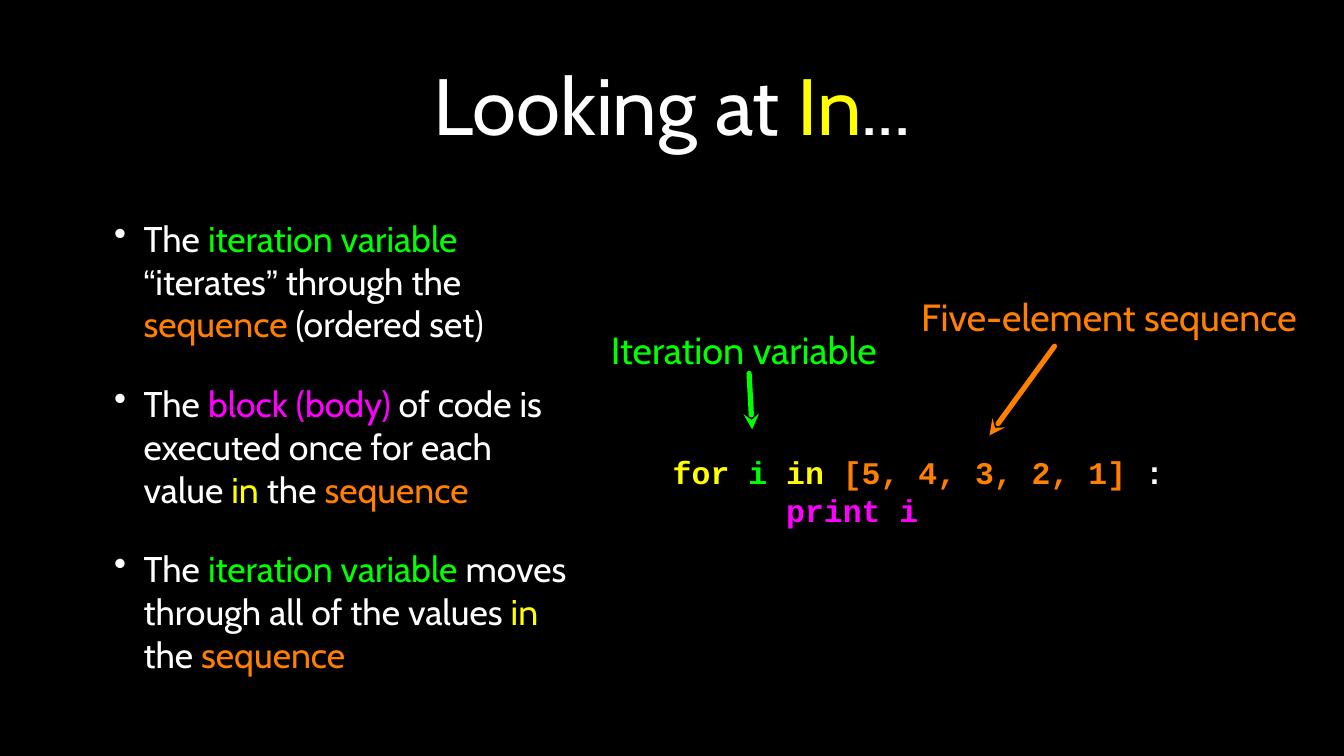
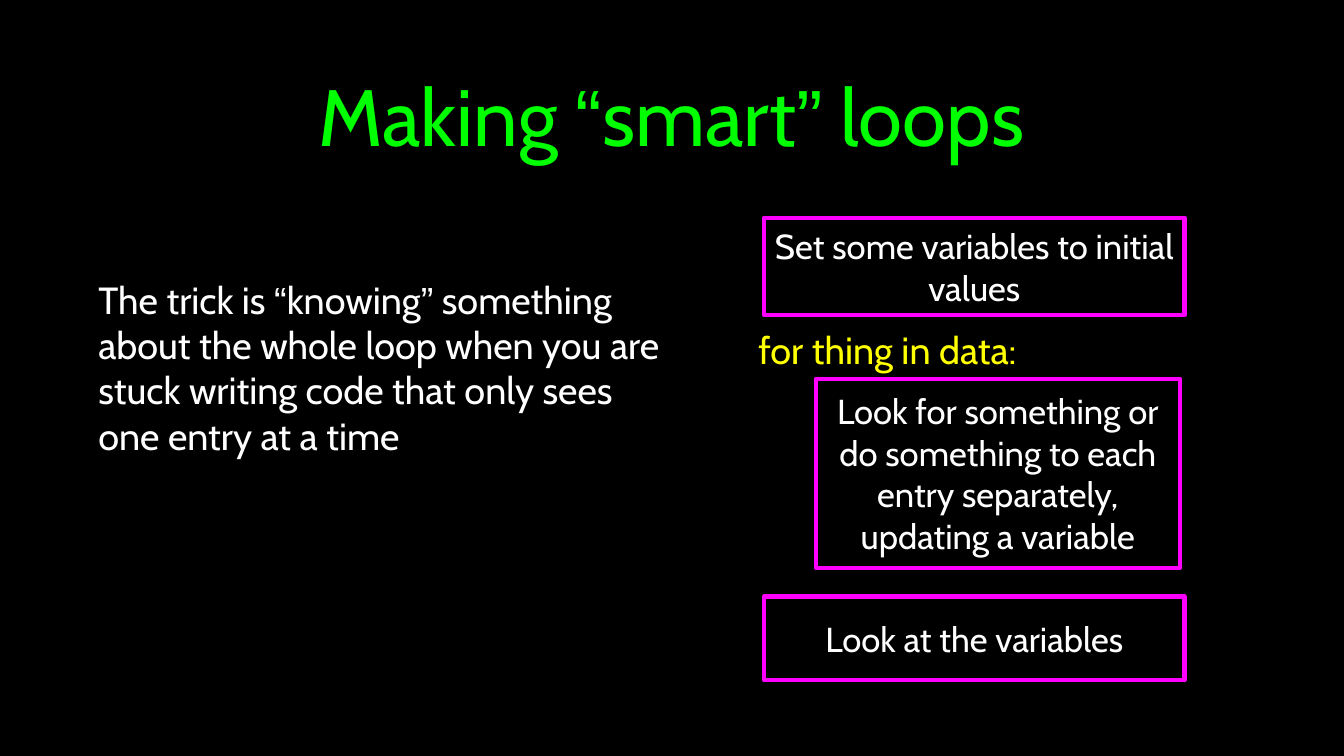
"""Build two slides about Python loops: the in keyword and smart loops."""
from dataclasses import dataclass
from itertools import groupby

from lxml.etree import SubElement
from pptx import Presentation
from pptx.dml.color import RGBColor
from pptx.enum.shapes import MSO_CONNECTOR, MSO_SHAPE
from pptx.enum.text import MSO_ANCHOR, PP_ALIGN
from pptx.oxml.ns import qn
from pptx.util import Inches, Pt


@dataclass(frozen=True)
class Theme:
    black: str = "000000"
    white: str = "FFFFFF"
    yellow: str = "FFFF00"
    green: str = "00FF00"
    orange: str = "FF7F00"
    magenta: str = "FF00FF"
    font: str = "Cabin"
    quote_font: str = "Arial"
    code_font: str = "Courier New"
    title_size: int = 76
    label_size: int = 36
    bullet_size: int = 34
    step_size: int = 33
    code_size: int = 30


theme = Theme()


def write(slide, area, paragraphs, size=theme.label_size, font=theme.font, bold=False,
          align=PP_ALIGN.CENTER, inset=0, wrap=True, bullets=False, gap=0,
          indents=(), outline=None):
    """Place paragraphs of (text, colour) spans in a text box or an outlined box."""
    place = [Inches(length) for length in area]
    if outline:
        box = slide.shapes.add_shape(MSO_SHAPE.RECTANGLE, *place)
        box.shadow.inherit = False
        box.fill.background()
        box.line.color.rgb = RGBColor.from_string(outline)
        box.line.width = Pt(4)
    else:
        box = slide.shapes.add_textbox(*place)
    frame = box.text_frame
    frame.word_wrap = wrap
    frame.vertical_anchor = MSO_ANCHOR.MIDDLE
    frame.margin_left = frame.margin_right = Inches(inset)
    frame.margin_top = frame.margin_bottom = Inches(inset)
    for index, spans in enumerate(paragraphs):
        para = frame.paragraphs[0] if index == 0 else frame.add_paragraph()
        para.alignment = align
        if index:
            para.space_before = Pt(gap)
        properties = para._p.get_or_add_pPr()
        if indents:
            properties.set("marL", str(Inches(indents[index])))
        if bullets:
            properties.set("marL", str(Inches(0.82)))
            properties.set("indent", str(Inches(-0.39)))
            bullet_color = SubElement(properties, qn("a:buClr"))
            SubElement(bullet_color, qn("a:srgbClr"), val=theme.white)
            SubElement(properties, qn("a:buChar"), char="•")
        for text, color in spans:
            for is_quote, letters in groupby(text, lambda letter: letter in "“”"):
                span = para.add_run()
                span.text = "".join(letters)
                span.font.name = theme.quote_font if is_quote else font
                span.font.size = Pt(size)
                span.font.bold = bold
                span.font.color.rgb = RGBColor.from_string(color)


deck = Presentation()
deck.slide_width, deck.slide_height = Inches(17.78), Inches(10)

titles = [
    ((1.27, 0.17, 15.24, 2.41),
     [("Looking at ", theme.white), ("In", theme.yellow), ("...", theme.white)]),
    ((1.26, 0.26, 15.24, 2.51), [("Making “smart” loops", theme.green)]),
]
pages = []
for area, title in titles:
    page = deck.slides.add_slide(deck.slide_layouts[6])
    page.background.fill.solid()
    page.background.fill.fore_color.rgb = RGBColor.from_string(theme.black)
    write(page, area, [title], size=theme.title_size, inset=0.04)
    pages.append(page)
in_page, smart_page = pages

write(in_page, (1.04, 2.78, 6.54, 6.24), [
    [("The ", theme.white), ("iteration variable ", theme.green),
     ("“iterates” through the ", theme.white), ("sequence ", theme.orange),
     ("(ordered set)", theme.white)],
    [("The ", theme.white), ("block (body)", theme.magenta),
     (" of code is executed once for each value ", theme.white),
     ("in", theme.yellow), (" the ", theme.white), ("sequence", theme.orange)],
    [("The ", theme.white), ("iteration variable ", theme.green),
     ("moves through all of the values ", theme.white),
     ("in", theme.yellow), (" the ", theme.white), ("sequence", theme.orange)],
], size=theme.bullet_size, align=PP_ALIGN.LEFT, inset=0.04, bullets=True, gap=35)

write(in_page, (8.9, 5.76, 6.96, 1.46), [
    [("for ", theme.yellow), ("i ", theme.green), ("in ", theme.yellow),
     ("[5, 4, 3, 2, 1] ", theme.orange), (":", theme.white)],
    [("print i", theme.magenta)],
], size=theme.code_size, font=theme.code_font, bold=True, align=PP_ALIGN.LEFT,
    indents=(0, 1.5))

labels = [
    (in_page, (8.06, 4.28, 3.56, 0.68), "Iteration variable", theme.green),
    (in_page, (12.11, 3.85, 5.12, 0.68), "Five-element sequence", theme.orange),
    (smart_page, (10.02, 4.28, 3.44, 0.68), "for thing in data:", theme.yellow),
]
for page, area, text, color in labels:
    write(page, area, [[(text, color)]], wrap=False)

arrows = [
    ((9.95, 5.68), (9.91, 4.94), theme.green),
    ((13.09, 5.76), (13.95, 4.58), theme.orange),
]
for tip, tail, color in arrows:
    ends = [Inches(length) for length in tip + tail]
    arrow = in_page.shapes.add_connector(MSO_CONNECTOR.STRAIGHT, *ends)
    arrow.line.color.rgb = RGBColor.from_string(color)
    arrow.line.width = Pt(5)
    outline = arrow.line._get_or_add_ln()
    outline.set("cap", "rnd")
    SubElement(outline, qn("a:headEnd"), type="stealth")
    SubElement(arrow._element.spPr, qn("a:effectLst"))

write(smart_page, (1.26, 3.02, 7.59, 3.67), [
    [("The trick is “knowing” something about the whole loop when you are stuck "
      "writing code that only sees one entry at a time", theme.white)],
], align=PP_ALIGN.LEFT, inset=0.04)

steps = [
    ((10.11, 2.88, 5.56, 1.29), "Set some variables to initial values"),
    ((10.79, 5.01, 4.82, 2.5),
     "Look for something or do something to each entry separately, updating a variable"),
    ((10.11, 7.89, 5.56, 1.11), "Look at the variables"),
]
for area, text in steps:
    write(smart_page, area, [[(text, theme.white)]], size=theme.step_size,
          outline=theme.magenta)

deck.save("out.pptx")
